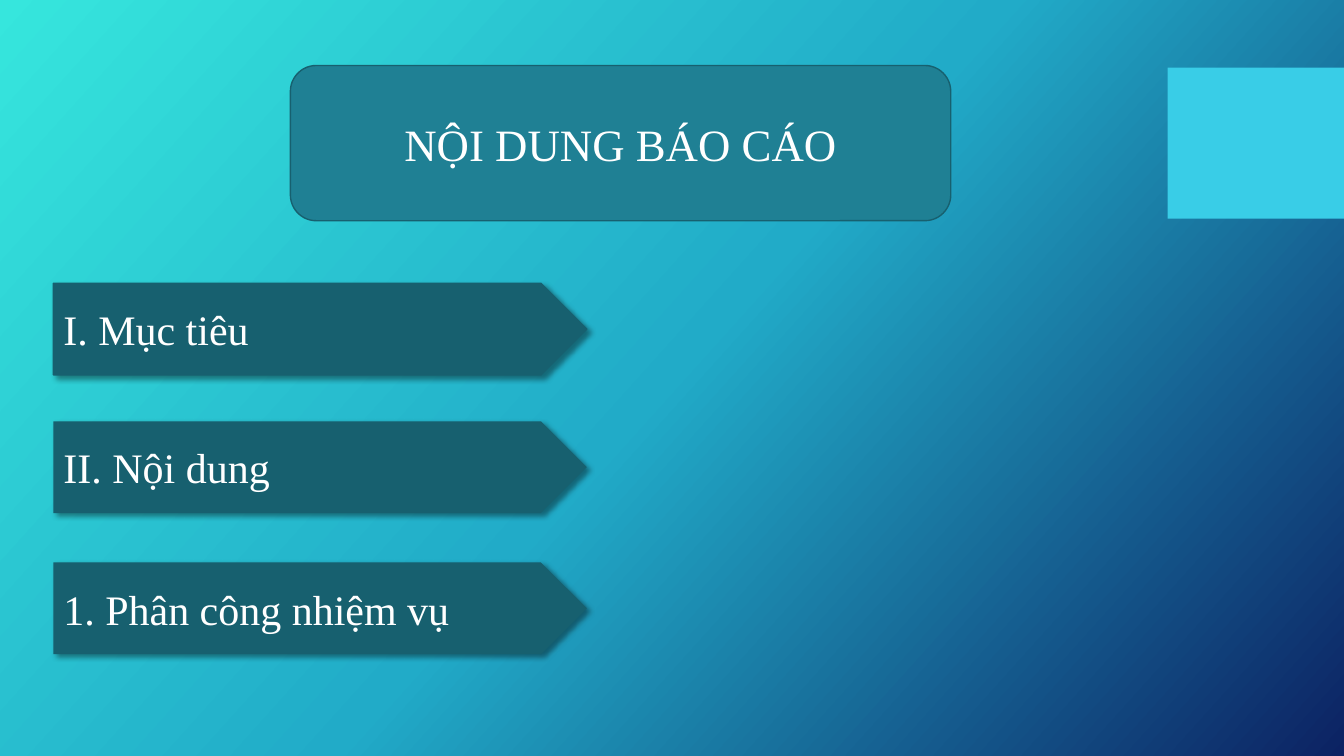
from copy import deepcopy
from dataclasses import dataclass

from lxml import etree
from pptx import Presentation
from pptx.dml.color import RGBColor
from pptx.enum.shapes import MSO_SHAPE
from pptx.enum.text import MSO_ANCHOR, PP_ALIGN
from pptx.oxml import parse_xml
from pptx.oxml.ns import nsdecls
from pptx.util import Inches, Pt


@dataclass(frozen=True)
class Theme:
    backdrop: tuple = ((0, "36E6DD"), (0.5, "21ABC8"), (1, "0C2263"))
    accent: str = "39CDE7"
    banner: str = "1F8094"
    dark: str = "17606F"
    text: str = "FFFFFF"
    font: str = "Times New Roman"
    title_size: int = 32
    item_size: int = 30


theme = Theme()


def add_block(kind, left, top, width, height, fill, line=None):
    block = slide.shapes.add_shape(
        kind, Inches(left), Inches(top), Inches(width), Inches(height))
    block.shadow.inherit = False
    block.fill.solid()
    block.fill.fore_color.rgb = RGBColor.from_string(fill)
    if line:
        block.line.color.rgb = RGBColor.from_string(line)
        block.line.width = Pt(1)
    else:
        block.line.fill.background()
    return block


def write_text(block, text, size, align=PP_ALIGN.LEFT):
    frame = block.text_frame
    frame.word_wrap = True
    frame.vertical_anchor = MSO_ANCHOR.MIDDLE
    paragraph = frame.paragraphs[0]
    paragraph.alignment = align
    run = paragraph.add_run()
    run.text = text
    run.font.name = theme.font
    run.font.size = Pt(size)
    run.font.color.rgb = RGBColor.from_string(theme.text)


deck = Presentation()
deck.slide_width, deck.slide_height = Inches(13.33), Inches(7.5)
slide = deck.slides.add_slide(deck.slide_layouts[6])

# Diagonal gradient backdrop with three stops
backdrop = slide.background.fill
backdrop.gradient()
backdrop.gradient_angle = 360 - 42
first_stop = slide.element.xpath(".//p:bgPr/a:gradFill/a:gsLst/a:gs")[0]
first_stop.addnext(deepcopy(first_stop))
for stop, (position, color) in zip(backdrop.gradient_stops, theme.backdrop):
    stop.position = position
    stop.color.rgb = RGBColor.from_string(color)

# Accent square at the right edge
add_block(MSO_SHAPE.RECTANGLE, 11.58, 0.67, 1.75, 1.5, theme.accent)

# Title banner
banner = add_block(MSO_SHAPE.ROUNDED_RECTANGLE, 2.88, 0.65, 6.55, 1.54,
                   theme.banner, line=theme.dark)
write_text(banner, "NỘI DUNG BÁO CÁO", size=theme.title_size,
           align=PP_ALIGN.CENTER)

# Agenda arrows with a soft shadow
soft_shadow = parse_xml(
    f'<a:outerShdw {nsdecls("a")} blurRad="{Pt(4)}" dist="{Pt(3)}" '
    f'dir="{45 * 60000}" algn="tl" rotWithShape="0">'
    '<a:srgbClr val="000000"><a:alpha val="40000"/></a:srgbClr></a:outerShdw>')
agenda = [
    ("I. Mục tiêu", 2.81, theme.dark),
    ("II. Nội dung", 4.18, None),
    ("1. Phân công nhiệm vụ", 5.58, None),
]
for heading, top, outline in agenda:
    arrow = add_block(MSO_SHAPE.PENTAGON, 0.53, top, 5.29, 0.91,
                      theme.dark, line=outline)
    effects = arrow.element.xpath("./p:spPr/a:effectLst")[0]
    effects.append(deepcopy(soft_shadow))
    write_text(arrow, heading, size=theme.item_size)

deck.save("out.pptx")
